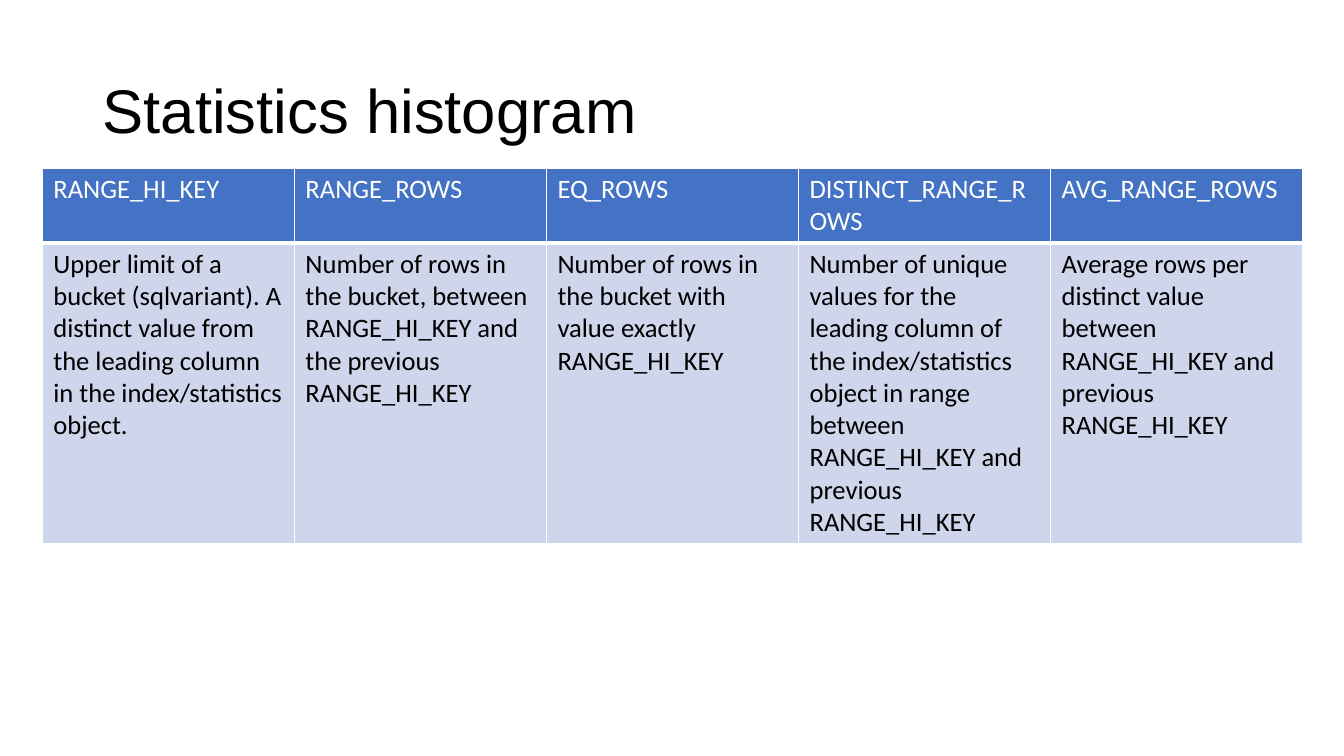
"""Build a slide with a table explaining the columns of a statistics histogram."""
from lxml.etree import SubElement
from pptx import Presentation
from pptx.dml.color import RGBColor
from pptx.enum.text import MSO_ANCHOR, PP_ALIGN
from pptx.oxml.ns import qn
from pptx.util import Inches, Pt

COLORS = {"header": "4472C4", "body": "CFD5EA", "white": "FFFFFF", "black": "000000"}
COLUMNS = [
    ("RANGE_HI_KEY",
     "Upper limit of a bucket (sqlvariant). A distinct value from the leading "
     "column in the index/statistics object."),
    ("RANGE_ROWS",
     "Number of rows in the bucket, between RANGE_HI_KEY and the previous RANGE_HI_KEY"),
    ("EQ_ROWS",
     "Number of rows in the bucket with value exactly RANGE_HI_KEY"),
    ("DISTINCT_RANGE_ROWS",
     "Number of unique values for the leading column of the index/statistics "
     "object in range between RANGE_HI_KEY and previous RANGE_HI_KEY"),
    ("AVG_RANGE_ROWS",
     "Average rows per distinct value between RANGE_HI_KEY and previous RANGE_HI_KEY"),
]
ROW_STYLES = [("header", "white", 3), ("body", "black", 1)]
COLUMN_WIDTH = 2.5
ROW_HEIGHTS = [0.74, 2.96]


def add_borders(cell, bottom_width):
    """Draw white lines around a cell."""
    properties = cell._tc.get_or_add_tcPr()
    for side, width in (("L", 1), ("R", 1), ("T", 1), ("B", bottom_width)):
        line = SubElement(properties, qn(f"a:ln{side}"), w=str(Pt(width)))
        fill = SubElement(line, qn("a:solidFill"))
        SubElement(fill, qn("a:srgbClr"), val=COLORS["white"])


deck = Presentation()
deck.slide_width, deck.slide_height = Inches(13.33), Inches(7.5)
page = deck.slides.add_slide(deck.slide_layouts[5])

title = page.shapes.title
title.left, title.top = Inches(0.92), Inches(0.4)
title.width, title.height = Inches(9.94), Inches(1.45)
title.text_frame.text = "Statistics histogram"
title.text_frame.vertical_anchor = MSO_ANCHOR.MIDDLE
heading = title.text_frame.paragraphs[0]
heading.alignment = PP_ALIGN.LEFT
heading.line_spacing = 0.9
heading.font.name = "Arial"
heading.font.size = Pt(44)
heading.font.color.rgb = RGBColor.from_string(COLORS["black"])

table = page.shapes.add_table(
    len(ROW_HEIGHTS), len(COLUMNS), Inches(0.42), Inches(1.67),
    Inches(COLUMN_WIDTH * len(COLUMNS)), Inches(sum(ROW_HEIGHTS))).table
table.horz_banding = False
for column in table.columns:
    column.width = Inches(COLUMN_WIDTH)
for row, height in zip(table.rows, ROW_HEIGHTS):
    row.height = Inches(height)

for column_index, texts in enumerate(COLUMNS):
    for row_index, (text, style) in enumerate(zip(texts, ROW_STYLES)):
        fill_name, ink_name, bottom_width = style
        cell = table.cell(row_index, column_index)
        cell.margin_left = cell.margin_right = Inches(0.11)
        cell.margin_top = cell.margin_bottom = Inches(0.05)
        add_borders(cell, bottom_width)
        cell.fill.solid()
        cell.fill.fore_color.rgb = RGBColor.from_string(COLORS[fill_name])
        cell.text = text
        font = cell.text_frame.paragraphs[0].font
        font.name = "Calibri"
        font.size = Pt(19)
        font.bold = False
        font.color.rgb = RGBColor.from_string(COLORS[ink_name])

deck.save("out.pptx")
